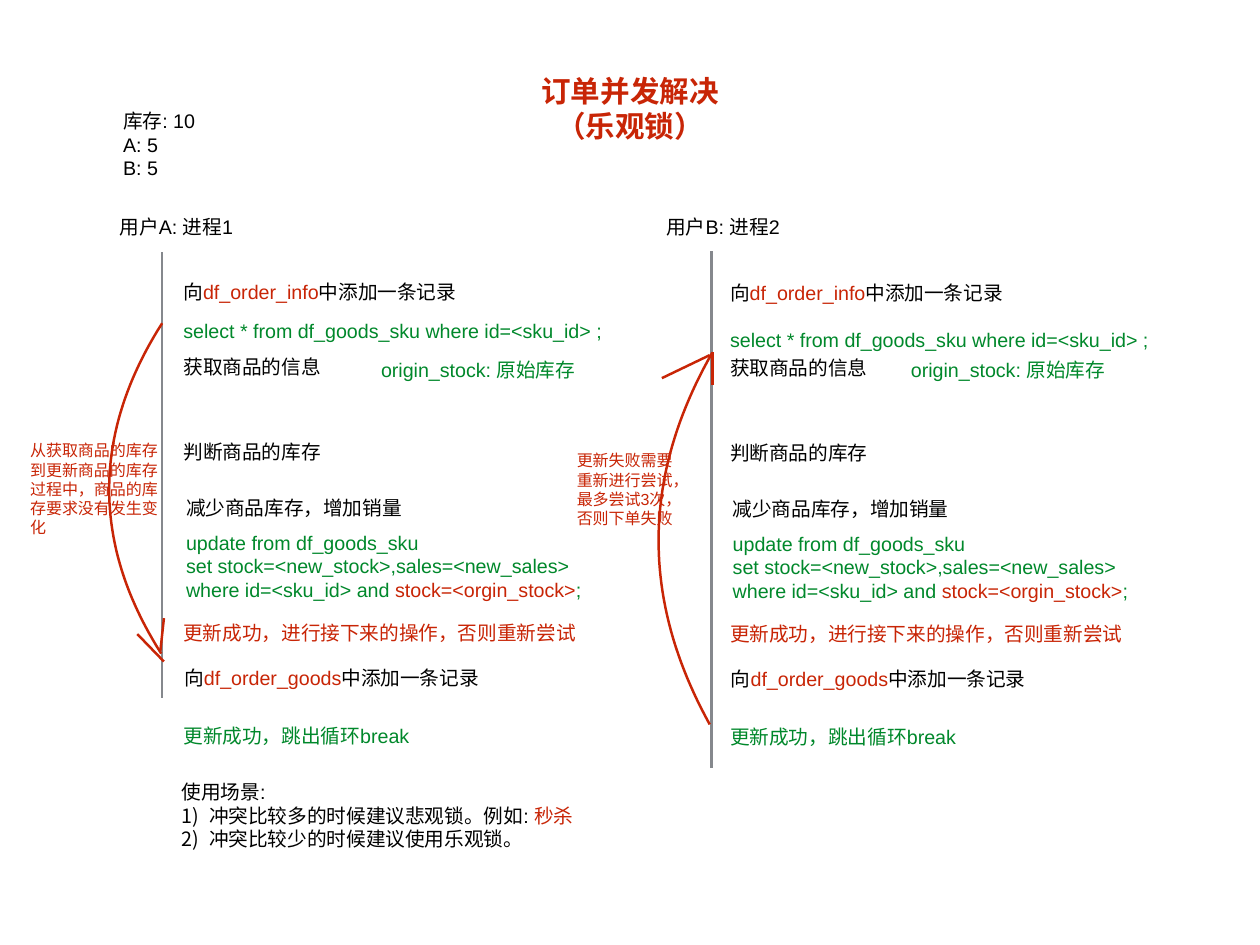
from lxml.etree import SubElement
from pptx import Presentation
from pptx.dml.color import RGBColor
from pptx.enum.shapes import MSO_CONNECTOR
from pptx.enum.text import MSO_ANCHOR, PP_ALIGN
from pptx.oxml.ns import qn
from pptx.util import Inches, Pt

BLACK, RED, GREEN, GREY = "000000", "C82506", "00882B", "85888D"


def rgb(color):
    return RGBColor.from_string(color)


def bezier(start, first, second, end, steps=48):
    """Return points along a cubic curve."""
    points = []
    for step in range(steps + 1):
        t = step / steps
        weights = ((1 - t) ** 3, 3 * t * (1 - t) ** 2, 3 * t * t * (1 - t), t ** 3)
        points.append(tuple(
            sum(weight * value for weight, value in zip(weights, values))
            for values in zip(start, first, second, end)))
    return points


class Diagram:
    def __init__(self, slide, font="Arial", size=16, line_width=2):
        self.slide = slide
        self.font = font
        self.size = size
        self.line_width = line_width

    def text(self, paragraphs, left, top, width, height, color=BLACK, size=None,
             bold=False, align=PP_ALIGN.LEFT, numbered_from=None):
        """Add text; a paragraph is a string or a list of (text, color) runs."""
        shape = self.slide.shapes.add_textbox(
            Inches(left), Inches(top), Inches(width), Inches(height))
        frame = shape.text_frame
        frame.word_wrap = True
        frame.vertical_anchor = MSO_ANCHOR.MIDDLE
        frame.margin_left = frame.margin_right = Inches(0.06)
        frame.margin_top = frame.margin_bottom = Inches(0.06)
        for index, content in enumerate(paragraphs):
            paragraph = frame.add_paragraph() if index else frame.paragraphs[0]
            paragraph.alignment = align
            if numbered_from is not None and index >= numbered_from:
                self.number(paragraph)
            runs = [(content, color)] if isinstance(content, str) else content
            for words, run_color in runs:
                run = paragraph.add_run()
                run.text = words
                run.font.name = self.font
                run.font.size = Pt(size or self.size)
                run.font.bold = bold
                run.font.color.rgb = rgb(run_color)

    def number(self, paragraph, indent=0.31):
        properties = paragraph._p.get_or_add_pPr()
        properties.set("marL", str(Inches(indent)))
        properties.set("indent", str(-Inches(indent)))
        SubElement(properties, qn("a:buAutoNum"), type="arabicParenR")

    def line(self, start, end, color):
        connector = self.slide.shapes.add_connector(
            MSO_CONNECTOR.STRAIGHT, *(Inches(value) for value in start + end))
        connector.line.color.rgb = rgb(color)
        connector.line.width = Pt(self.line_width)
        SubElement(connector._element.spPr, qn("a:effectLst"))

    def curve(self, points, color):
        first, *others = [(Inches(x), Inches(y)) for x, y in points]
        builder = self.slide.shapes.build_freeform(*first)
        builder.add_line_segments(others, close=False)
        shape = builder.convert_to_shape()
        shape.shadow.inherit = False
        shape.fill.background()
        shape.line.color.rgb = rgb(color)
        shape.line.width = Pt(self.line_width)

    def process(self, heading, left, shift, select_top, stock_left):
        """Add the steps of one user's process, moved down by shift."""
        self.text([heading], left - 0.72, 2.35, 1.41, 0.42)
        self.text(["select * from df_goods_sku where id=<sku_id> ;"],
                  left, select_top, 4.86, 0.38, GREEN)
        self.text(["origin_stock: 原始库存"], stock_left, 3.96, 2.32, 0.42, GREEN)
        update = ["update from df_goods_sku",
                  "set stock=<new_stock>,sales=<new_sales>",
                  [("where id=<sku_id> and ", GREEN),
                   ("stock=<orgin_stock>", RED), (";", GREEN)]]
        steps = [
            ([insert_step("df_order_info")], 0, 3.08, 3.21, 0.42, BLACK),
            (["获取商品的信息"], 0, 3.93, 1.68, 0.42, BLACK),
            (["判断商品的库存"], 0, 4.89, 1.68, 0.42, BLACK),
            (["减少商品库存，增加销量"], 0.03, 5.52, 2.57, 0.42, BLACK),
            (update, 0.03, 5.94, 4.6, 0.9, GREEN),
            (["更新成功，进行接下来的操作，否则重新尝试"], 0, 6.93, 4.57, 0.42, RED),
            ([insert_step("df_order_goods")], 0.01, 7.44, 3.46, 0.42, BLACK),
            (["更新成功，跳出循环break"], 0, 8.1, 2.68, 0.42, GREEN),
        ]
        for paragraphs, indent, top, width, height, color in steps:
            self.text(paragraphs, left + indent, top + shift, width, height, color)


def insert_step(table):
    return [("向", BLACK), (table, RED), ("中添加一条记录", BLACK)]


def main():
    presentation = Presentation()
    presentation.slide_width = Inches(14.22)
    presentation.slide_height = Inches(10.67)
    slide = presentation.slides.add_slide(presentation.slide_layouts[6])
    diagram = Diagram(slide)

    diagram.text(["订单并发解决", "（乐观锁）"], 6, 0.71, 2.22, 1.03, RED,
                 size=24, bold=True, align=PP_ALIGN.CENTER)
    diagram.text(["库存: 10", "A: 5", "B: 5"], 1.33, 1.16, 1, 0.94)

    # Timelines
    diagram.line((1.83, 7.88), (1.83, 2.84), GREY)
    diagram.line((8.03, 8.67), (8.03, 2.83), GREY)

    # Curved arrows with open heads
    diagram.curve(bezier((1.82, 7.38), (1.03, 6.14), (1.04, 4.89), (1.83, 3.65)), RED)
    diagram.curve(bezier((8.01, 8.18), (7.23, 6.77), (7.24, 5.38), (8.04, 3.98)), RED)
    for start, end in [((1.81, 7.35), (1.85, 6.98)), ((1.85, 7.47), (1.55, 7.16)),
                       ((7.47, 4.27), (8.01, 4.01)), ((8.04, 4.35), (8.04, 3.98))]:
        diagram.line(start, end, RED)

    diagram.process("用户A: 进程1", 2.01, 0, select_top=3.54, stock_left=4.24)
    diagram.process("用户B: 进程2", 8.18, 0.01, select_top=3.64, stock_left=10.22)

    diagram.text(["从获取商品的库存", "到更新商品的库存", "过程中，商品的库",
                  "存要求没有发生变", "化"], 0.28, 4.84, 1.62, 1.36, RED, size=13)
    diagram.text(["更新失败需要", "重新进行尝试，", "最多尝试3次，", "否则下单失败"],
                 6.45, 4.97, 1.44, 1.11, RED, size=13)
    diagram.text(["使用场景:",
                  [("冲突比较多的时候建议悲观锁。例如: ", BLACK), ("秒杀", RED)],
                  "冲突比较少的时候建议使用乐观锁。"],
                 1.99, 8.69, 4.62, 1.03, numbered_from=1)

    presentation.save("out.pptx")


if __name__ == "__main__":
    main()
